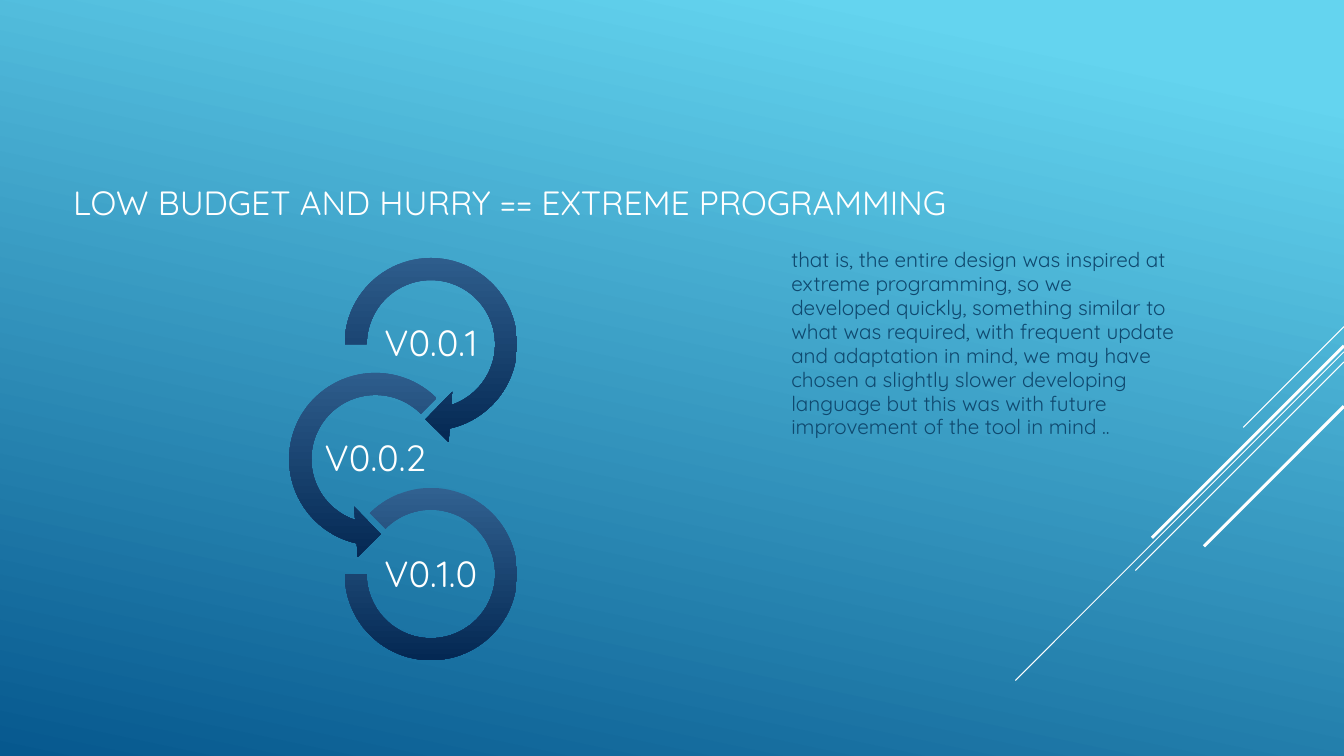
from lxml import etree
from pptx import Presentation
from pptx.dml.color import RGBColor
from pptx.enum.shapes import MSO_CONNECTOR, MSO_SHAPE
from pptx.enum.text import MSO_ANCHOR, MSO_AUTO_SIZE, PP_ALIGN
from pptx.oxml.ns import qn
from pptx.util import Pt

STRAIGHT = MSO_CONNECTOR.STRAIGHT
LEFT, CENTER = PP_ALIGN.LEFT, PP_ALIGN.CENTER
TOP, MIDDLE, BOTTOM = MSO_ANCHOR.TOP, MSO_ANCHOR.MIDDLE, MSO_ANCHOR.BOTTOM
PAGE_WIDTH, PAGE_HEIGHT = 960, 540
FONT = "Quicksand"
WHITE, NAVY = "FFFFFF", "0F496F"
TITLE = "LOW BUDGET AND HURRY == EXTREME PROGRAMMING"
BODY = (
    "that is, the entire design was inspired at extreme programming, so we "
    "developed quickly, something similar to what was required, with frequent "
    "update and adaptation in mind, we may have chosen a slightly slower "
    "developing language but this was with future improvement of the tool in mind .."
)
# Height at the right edge, horizontal run, line width
STREAKS = [
    (233.3, 72, 0.75),
    (251.3, 234.7, 0.75),
    (258.5, 149, 0.75),
    (247, 137.2, 2.25),
    (290.2, 100, 2.25),
]
# Label, shape, size, horizontal offset from the first ring, adjustments
VERSIONS = [
    ("V0.0.1", MSO_SHAPE.CIRCULAR_ARROW, 143.3, 0, (0.11, 11.423, 45, 108, 0.125)),
    ("V0.0.2", MSO_SHAPE.LEFT_CIRCULAR_ARROW, 143.3, -39.6, (0.11, 11.423, 63, 189, 0.125)),
    ("V0.1.0", MSO_SHAPE.BLOCK_ARC, 123.1, 0, (135, 108, 0.127)),
]


def color(value):
    return RGBColor.from_string(value)


def set_gradient(fill, start, end, clockwise, first_stop=0):
    fill.gradient()
    fill.gradient_angle = 360 - clockwise
    for stop, value, position in zip(fill.gradient_stops, (start, end), (first_stop, 1)):
        stop.color.rgb = color(value)
        stop.position = position


def write_text(shape, text, size, value, align, anchor, inset=None):
    """Fill the shape with one paragraph and return that paragraph."""
    frame = shape.text_frame
    frame.word_wrap = True
    frame.auto_size = MSO_AUTO_SIZE.NONE
    frame.vertical_anchor = anchor
    if inset is not None:
        frame.margin_left = frame.margin_right = Pt(inset)
        frame.margin_top = frame.margin_bottom = Pt(inset)
    para = frame.paragraphs[0]
    para.alignment = align
    span = para.add_run()
    span.text = text
    span.font.size = Pt(size)
    span.font.name = FONT
    span.font.color.rgb = color(value)
    return para


def place(shape, left, top, width, height):
    shape.left, shape.top = Pt(left), Pt(top)
    shape.width, shape.height = Pt(width), Pt(height)


def add_streaks(page, right):
    """Draw the diagonal lines that run down and left from the right edge."""
    for top, run, width in STREAKS:
        streak = page.shapes.add_connector(
            STRAIGHT, Pt(right), Pt(top), Pt(right - run), Pt(top + run))
        streak.line.color.rgb = color(WHITE)
        streak.line.width = Pt(width)
        etree.SubElement(streak._element.spPr, qn("a:effectLst"))


def add_title(page, left, top, width, height):
    title = page.shapes.title
    place(title, left, top, width, height)
    write_text(title, TITLE, 24, WHITE, LEFT, BOTTOM)


def add_version_chain(page, center_x, center_y):
    """Stack the rings downward from the centre of the first one."""
    ring_step, label_step = 82.05, 82.8
    label_width, label_height = 80, 39.6
    for index, (label, kind, size, offset, adjustments) in enumerate(VERSIONS):
        middle = center_x + offset
        ring_top = center_y + index * ring_step - size / 2
        ring = page.shapes.add_shape(
            kind, Pt(middle - size / 2), Pt(ring_top), Pt(size), Pt(size))
        for number, adjustment in enumerate(adjustments):
            ring.adjustments[number] = adjustment
        ring.shadow.inherit = False
        ring.line.fill.background()
        set_gradient(ring.fill, "316190", "042853", 90)

        label_top = center_y + index * label_step - label_height / 2
        box = page.shapes.add_textbox(
            Pt(middle - label_width / 2), Pt(label_top), Pt(label_width), Pt(label_height))
        para = write_text(box, label, 26, WHITE, CENTER, MIDDLE, inset=1.3)
        para.line_spacing = 0.9


def add_body(page, left, top, width, height):
    body = page.placeholders[1]
    place(body, left, top, width, height)
    para = write_text(body, BODY, 14.8, NAVY, LEFT, TOP)
    para.line_spacing = 0.96
    para.space_before = Pt(0)
    para.space_after = Pt(6)
    properties = para._p.get_or_add_pPr()
    properties.set("marL", "0")
    properties.set("indent", "0")
    etree.SubElement(properties, qn("a:buNone"))


def main():
    deck = Presentation()
    deck.slide_width, deck.slide_height = Pt(PAGE_WIDTH), Pt(PAGE_HEIGHT)
    page = deck.slides.add_slide(deck.slide_layouts[1])
    set_gradient(page.background.fill, "64D4EF", "06588E", 102, first_stop=0.1)
    add_streaks(page, PAGE_WIDTH)
    add_title(page, 45, 54, 801, 108)
    add_version_chain(page, 307.8, 245.9)
    add_body(page, 558, 174.2, 288, 165)
    deck.save("out.pptx")


if __name__ == "__main__":
    main()
